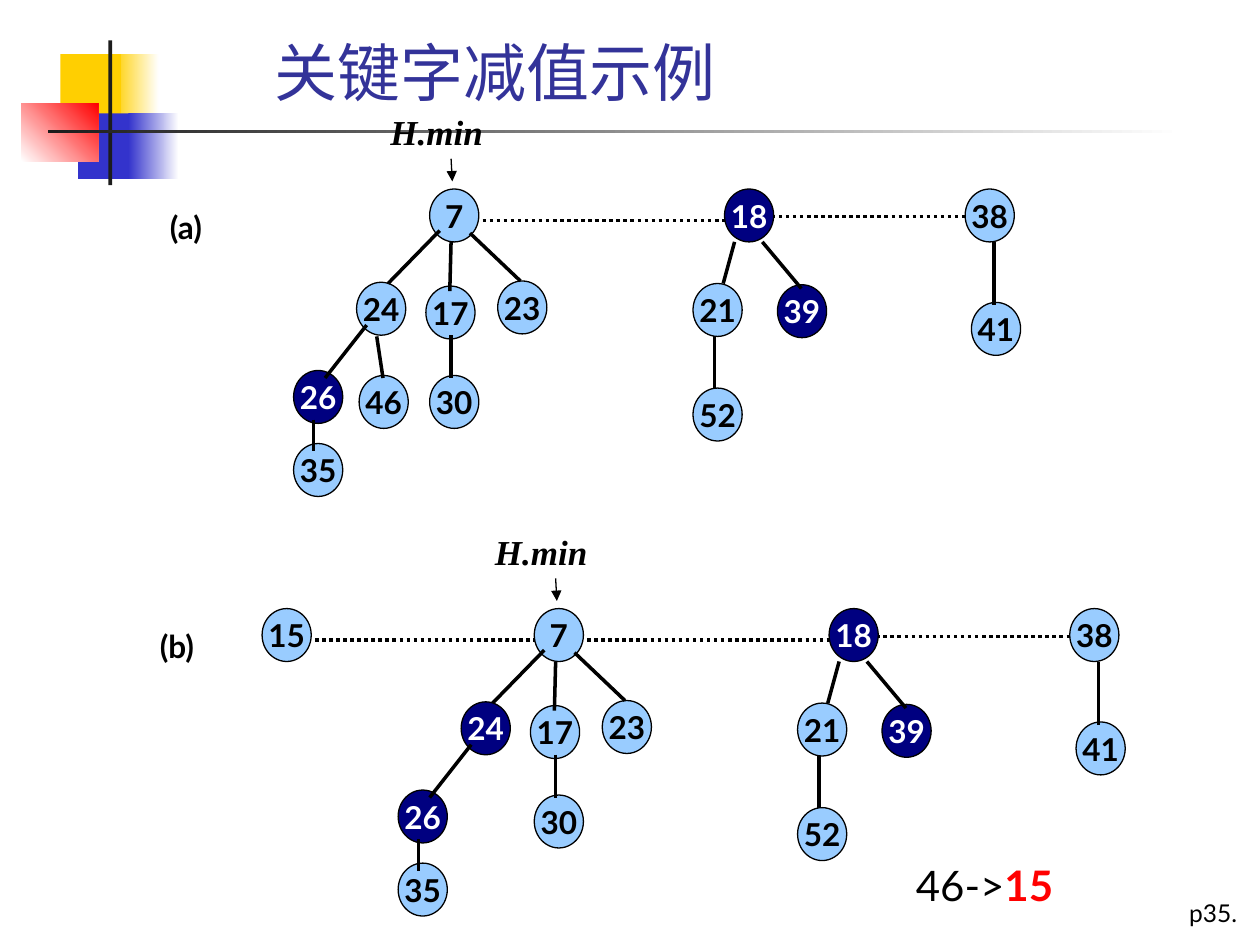
import pptx
import pptx.util
import lxml.etree
from pptx.dml.color import RGBColor
from pptx.enum.dml import MSO_LINE
from pptx.enum.shapes import MSO_CONNECTOR, MSO_SHAPE
from pptx.enum.text import MSO_ANCHOR, MSO_AUTO_SIZE, PP_ALIGN
from pptx.oxml.ns import qn
from pptx.util import Inches

COLORS = {
    "black": "000000", "white": "FFFFFF", "title": "333399",
    "node": "99CCFF", "marked": "000080", "red": "FF0000",
    "yellow": "FFCF01", "blue": "3333CC", "bar": "1C1C1C",
}
NODE_W, NODE_H = 0.39, 0.42

# Offsets from the top-left corner of a heap panel.
NODES = {
    "7": (1.08, 0.67), "18": (3.42, 0.67), "38": (5.33, 0.67),
    "24": (0.5, 1.41), "17": (1.05, 1.44), "23": (1.62, 1.4),
    "21": (3.17, 1.42), "39": (3.84, 1.43), "41": (5.38, 1.57),
    "26": (0, 2.11), "46": (0.52, 2.15), "30": (1.08, 2.15),
    "52": (3.17, 2.25), "35": (0, 2.69),
}
# The line from its parent down to each child.
EDGES = {
    "24": (1.16, 1, 0.75, 1.42),
    "17": (1.25, 1.09, 1.24, 1.48),
    "23": (1.4, 1.02, 1.8, 1.4),
    "26": (0.58, 1.75, 0.25, 2.17),
    "46": (0.66, 1.84, 0.71, 2.17),
    "30": (1.25, 1.83, 1.25, 2.17),
    "35": (0.16, 2.5, 0.16, 2.75),
    "21": (3.5, 1.09, 3.41, 1.42),
    "39": (3.72, 1.09, 4.03, 1.46),
    "52": (3.34, 1.84, 3.34, 2.25),
    "41": (5.56, 1.09, 5.56, 1.59),
}
ROOT_LINKS = [(1.5, 0.92, 3.5, 0.92), (3.46, 0.89, 5.34, 0.89)]


def rgb(name):
    return RGBColor.from_string(COLORS[name])


def add_run(p, text, size, color="black", bold=False, italic=False, font="Lato"):
    r = p.add_run()
    r.text = text
    f = r.font
    f.size, f.name, f.bold, f.italic = pptx.util.Pt(size), font, bold, italic
    f.color.rgb = rgb(color)


def add_label(s, x, y, w, h):
    """Add an unwrapped text box and return its paragraph."""
    tf = s.shapes.add_textbox(Inches(x), Inches(y), Inches(w), Inches(h)).text_frame
    tf.word_wrap = False
    tf.auto_size = MSO_AUTO_SIZE.SHAPE_TO_FIT_TEXT
    return tf.paragraphs[0]


def add_line(s, x, y, ends, width=2, dotted=False, arrow=False):
    x1, y1, x2, y2 = ends
    line = s.shapes.add_connector(MSO_CONNECTOR.STRAIGHT, Inches(x + x1), Inches(y + y1),
                                  Inches(x + x2), Inches(y + y2))
    line.line.color.rgb = rgb("black")
    line.line.width = pptx.util.Pt(width)
    if dotted:
        line.line.dash_style = MSO_LINE.ROUND_DOT
    sp_pr = line._element.spPr
    if arrow:
        lxml.etree.SubElement(sp_pr.find(qn("a:ln")), qn("a:tailEnd"), type="triangle")
    lxml.etree.SubElement(sp_pr, qn("a:effectLst"))


def add_node(s, x, y, key, marked):
    sp = s.shapes.add_shape(MSO_SHAPE.OVAL, Inches(x), Inches(y),
                            Inches(NODE_W), Inches(NODE_H))
    sp.shadow.inherit = False
    sp.fill.solid()
    sp.fill.fore_color.rgb = rgb("marked" if marked else "node")
    sp.line.color.rgb = rgb("black")
    sp.line.width = pptx.util.Pt(0.75)
    tf = sp.text_frame
    tf.word_wrap = False
    tf.vertical_anchor = MSO_ANCHOR.MIDDLE
    p = tf.paragraphs[0]
    p.alignment = PP_ALIGN.CENTER
    add_run(p, key, 18, "white" if marked else "black", bold=True)


def add_heap(s, x, y, name, name_x, nodes, marked, links):
    """Draw one Fibonacci heap with its panel name and H.min pointer."""
    add_run(add_label(s, x + name_x, y + 0.77, 0.58, 0.4), name, 18, bold=True)
    for ends in links:
        add_line(s, x, y, ends, dotted=True)
    for key, (dx, dy) in nodes.items():
        add_node(s, x + dx, y + dy, key, key in marked)
    for child, ends in EDGES.items():
        if child in nodes:
            add_line(s, x, y, ends)
    add_run(add_label(s, x + 0.67, y, 1, 0.43), "H.min", 20,
            bold=True, italic=True, font="Times New Roman")
    add_line(s, x, y, (1.25, 0.43, 1.26, 0.61), width=0.75, arrow=True)


def add_block(s, box, start, end=None, angle=0):
    """Add a borderless rectangle, with a gradient when an end colour is given."""
    sp = s.shapes.add_shape(MSO_SHAPE.RECTANGLE, *map(Inches, box))
    sp.shadow.inherit = False
    sp.line.fill.background()
    if end:
        sp.fill.gradient()
        sp.fill.gradient_angle = angle
        for stop, color in zip(sp.fill.gradient_stops, (start, end)):
            stop.color.rgb = rgb(color)
    else:
        sp.fill.solid()
        sp.fill.fore_color.rgb = rgb(start)


def add_ornament(s, x, y):
    """Draw the overlapping blocks and the rules beside the title."""
    for (dx, dy, w, h), *colors in [
        ((0.73, 0.11, 0.36, 0.52), "yellow", "white"),
        ((0.31, 0.11, 0.48, 0.52), "yellow"),
        ((0.45, 0.58, 0.46, 0.52), "blue"),
        ((0.85, 0.58, 0.4, 0.52), "blue", "white"),
        ((0, 0.5, 0.61, 0.46), "white", "red", 45),
        ((0.69, 0, 0.03, 1.15), "bar"),
        ((0.21, 0.71, 9, 0.03), "bar", "white"),
    ]:
        add_block(s, (x + dx, y + dy, w, h), *colors)


def set_title(s, text, x, y, w, h):
    sp = s.shapes.title
    sp.left, sp.top, sp.width, sp.height = map(Inches, (x, y, w, h))
    tf = sp.text_frame
    tf.vertical_anchor = MSO_ANCHOR.BOTTOM
    tf.auto_size = MSO_AUTO_SIZE.NONE
    p = tf.paragraphs[0]
    p.alignment = PP_ALIGN.LEFT
    add_run(p, text, 36, "title")


def main():
    prs = pptx.Presentation()
    prs.slide_width, prs.slide_height = Inches(10), Inches(7.5)
    s = prs.slides.add_slide(prs.slide_layouts[5])
    add_ornament(s, 0.17, 0.32)
    set_title(s, "关键字减值示例", 2.08, 0.17, 6.61, 0.75)

    add_heap(s, 2.33, 0.83, "(a)", -1.08, NODES, {"18", "26", "39"}, ROOT_LINKS)
    after = {key: at for key, at in NODES.items() if key != "46"}
    after["15"] = (-1.08, 0.67)
    add_heap(s, 3.16, 4.16, "(b)", -1.99, after, {"18", "24", "26", "39"},
             ROOT_LINKS + [(-0.66, 0.92, 1.09, 0.92)])

    p = add_label(s, 7.17, 6.77, 1.37, 0.51)
    add_run(p, "46->", 24)
    add_run(p, "15", 24, "red", bold=True)
    add_run(add_label(s, 9.34, 7.08, 0.66, 0.33), "p35.", 14)
    prs.save("out.pptx")


if __name__ == "__main__":
    main()
